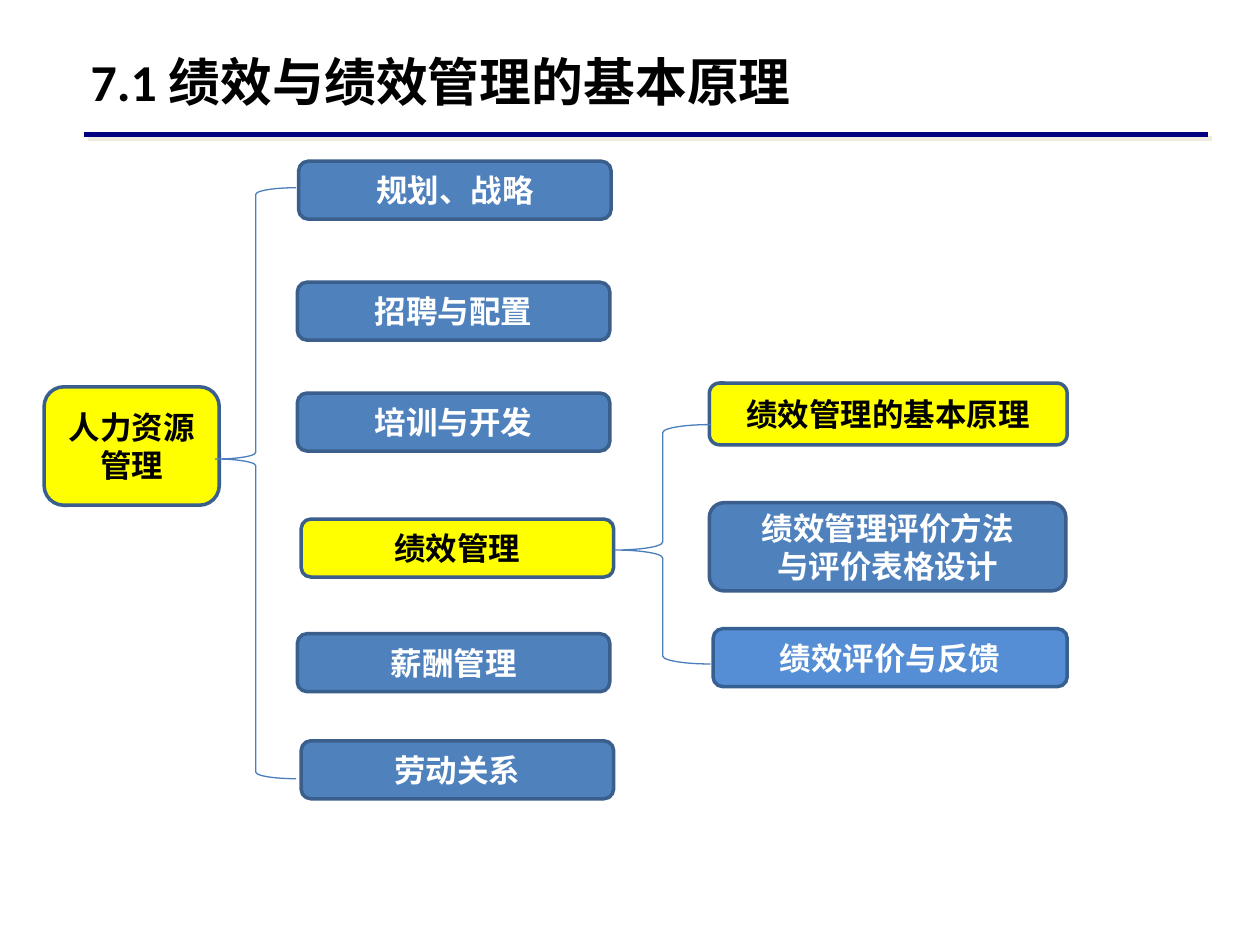
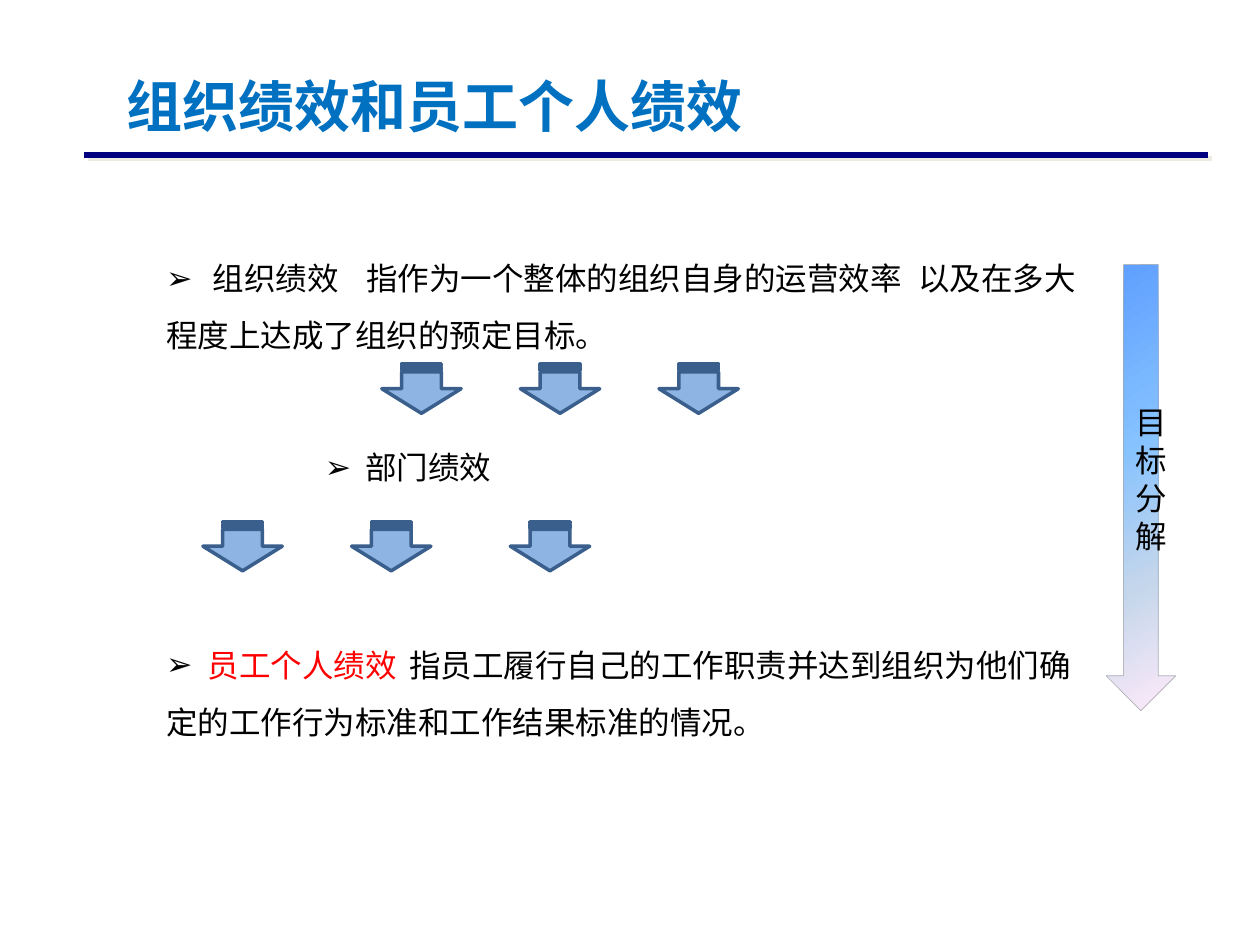
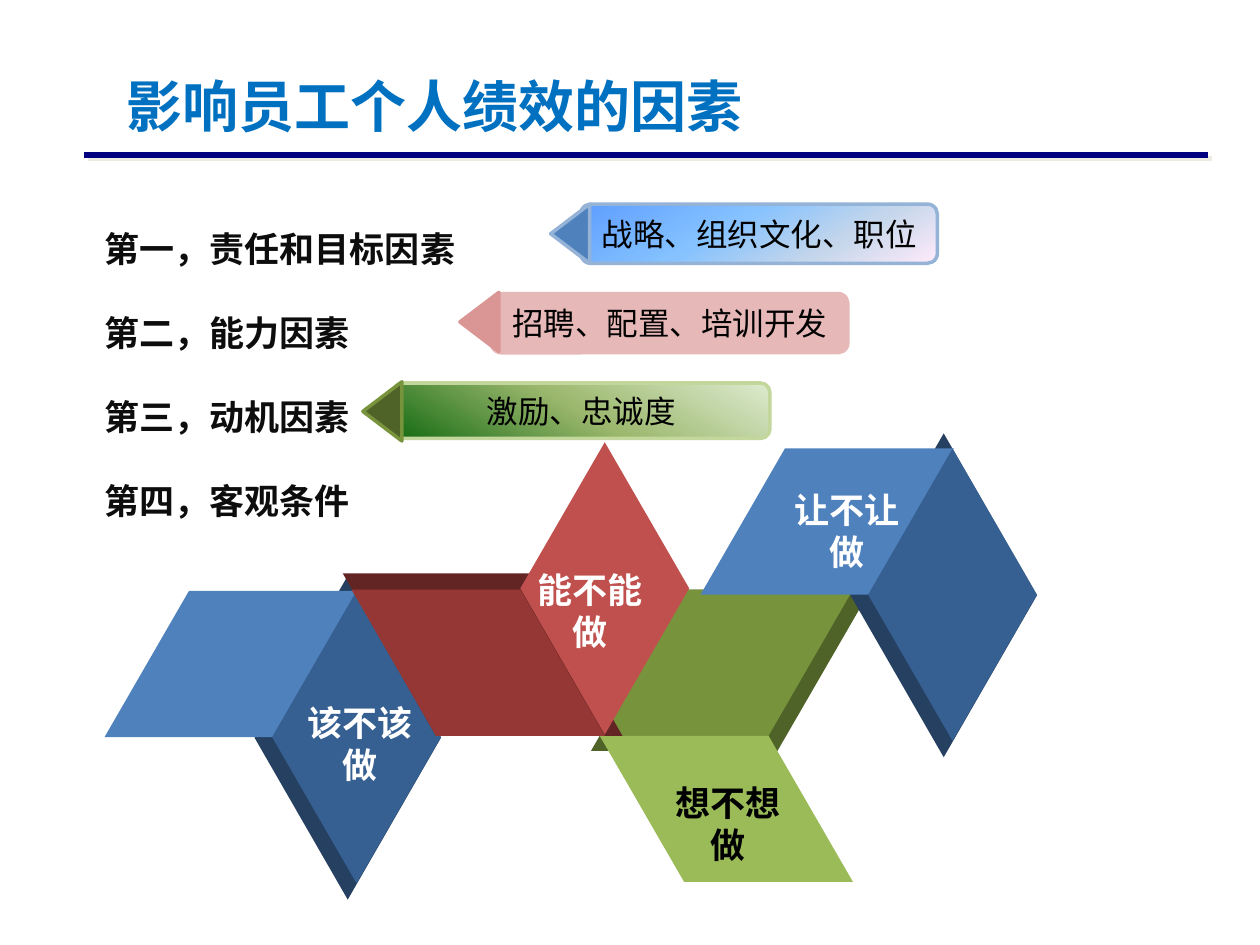
from dataclasses import dataclass

from lxml import etree
from pptx import Presentation
from pptx import util as u
from pptx.dml.color import RGBColor
from pptx.enum import shapes as kinds, text as txt
from pptx.oxml import ns

# Shared look
FONT = "Calibri"
BLACK, WHITE, RED, YELLOW = "000000", "FFFFFF", "FF0000", "FFFF00"
BLUE, EDGE, NAVY, SKY = "4F81BD", "3A5F8C", "000080", "0070C0"
DEEP, DARK = "376092", "254061"
SHAPE = kinds.MSO_SHAPE
CENTER, LEFT = txt.PP_ALIGN.CENTER, txt.PP_ALIGN.LEFT
MIDDLE, TOP = txt.MSO_ANCHOR.MIDDLE, txt.MSO_ANCHOR.TOP


@dataclass
class Blend:
    """A linear gradient: (percent, colour) stops and a clockwise angle."""
    stops: tuple
    angle: int


DAWN = Blend(((0, "5E9EFF"), (40, "85C2FF"), (70, "C4D6EB"), (100, "FFEBFA")), 60)
MOSS = Blend(((0, "DDEBCF"), (50, "9CB86E"), (100, "156B13")), 120)


@dataclass
class Box:
    text: str
    left: float
    top: float
    width: float = 2.48
    height: float = 0.46
    fill: str = BLUE
    edge: str = EDGE


@dataclass
class Tag:
    text: str
    left: float
    top: float
    width: float
    height: float
    fill: str | Blend
    edge: str
    tip: tuple
    tip_fill: str
    tip_edge: str


@dataclass
class Face:
    """One side of a folded ribbon: '/' and '\\' lean, 'v' is a diamond."""
    kind: str
    left: float
    top: float
    width: float
    height: float
    fill: str


# Helpers
def color(code: str) -> RGBColor:
    return RGBColor.from_string(code)


def place(*lengths: float) -> list:
    return [u.Inches(n) for n in lengths]


def node(parent, tag: str, **attrs):
    return etree.SubElement(parent, ns.qn(tag), {k: str(v) for k, v in attrs.items()})


def paint(shape, fill=None, edge=None, weight: float = 2) -> None:
    shape.shadow.inherit = False
    if isinstance(fill, Blend):
        shape.fill.gradient()
        grad = shape.fill._xPr.find(ns.qn("a:gradFill"))
        for child in list(grad):
            grad.remove(child)
        stops = node(grad, "a:gsLst")
        for at, code in fill.stops:
            node(node(stops, "a:gs", pos=at * 1000), "a:srgbClr", val=code)
        node(grad, "a:lin", ang=fill.angle * 60000, scaled=0)
    elif fill:
        shape.fill.solid()
        shape.fill.fore_color.rgb = color(fill)
    else:
        shape.fill.background()
    if edge:
        shape.line.color.rgb = color(edge)
        shape.line.width = u.Pt(weight)
    else:
        shape.line.fill.background()


def write(shape, words: str, size: float, tint: str, bold=False,
          align=CENTER, anchor=MIDDLE, space: float = 1) -> None:
    frame = shape.text_frame
    frame.text = words
    frame.word_wrap = True
    frame.auto_size = txt.MSO_AUTO_SIZE.NONE
    frame.vertical_anchor = anchor
    for para in frame.paragraphs:
        para.alignment = align
        para.line_spacing = space
        para.space_before = u.Pt(0)
        font = para.font
        font.name, font.size, font.bold = FONT, u.Pt(size), bold
        font.color.rgb = color(tint)


def shape_at(slide, kind, spot: tuple, fill=None, edge=None,
             weight: float = 2, turn: float = 0):
    shape = slide.shapes.add_shape(kind, *place(*spot))
    paint(shape, fill, edge, weight)
    shape.rotation = turn
    return shape


def start(deck, layout: int, words: str, spot: tuple, rule: float,
          size: float = 32, tint: str = SKY, align=LEFT):
    """Add a slide with its title and the shadowed rule below it."""
    slide = deck.slides.add_slide(deck.slide_layouts[layout])
    title = slide.shapes.title
    title.left, title.top, title.width, title.height = place(*spot)
    write(title, words, size, tint, True, align)
    line = slide.shapes.add_connector(
        kinds.MSO_CONNECTOR.STRAIGHT, *place(0.67, rule, 9.59, rule))
    line.line.color.rgb = color(NAVY)
    line.line.width = u.Pt(3)
    effect = node(line._element.spPr, "a:effectLst")
    shade = node(effect, "a:outerShdw", dist=u.Pt(2.8), dir=45 * 60000,
                 algn="ctr", rotWithShape=0)
    node(shade, "a:srgbClr", val="EEECE1")
    return slide


def bullet(slide, words: str, spot: tuple, tabs: tuple, space: float = 1):
    """Text with an arrow bullet, spaced out by tab stops."""
    note = slide.shapes.add_textbox(*place(*spot))
    write(note, words, 18, BLACK, align=LEFT, anchor=TOP, space=space)
    para = note.text_frame.paragraphs[0]
    props = para._p.get_or_add_pPr()
    props.set("marL", "0")
    props.set("indent", "0")
    face = etree.Element(ns.qn("a:buFont"), {"typeface": FONT})
    mark = etree.Element(ns.qn("a:buChar"), {"char": "➢"})
    stops = etree.Element(ns.qn("a:tabLst"))
    for stop in tabs:
        node(stops, "a:tab", pos=u.Inches(stop), algn="l")
    last = props.find(ns.qn("a:defRPr"))
    for part in (face, mark, stops):
        last.addprevious(part)
    return para


def fold(slide, faces: list, right: float = 0, down: float = 0) -> None:
    """Draw a ribbon as one group, moved by the given offset."""
    group = slide.shapes.add_group_shape()
    for face in faces:
        x, y, w, h = place(face.left + right, face.top + down, face.width, face.height)
        lean = w // 3
        points = {
            "/": [(x + lean, y), (x, y + h), (x + w - lean, y + h), (x + w, y)],
            "\\": [(x, y), (x + lean, y + h), (x + w, y + h), (x + w - lean, y)],
            "v": [(x + w // 2, y), (x, y + h // 2), (x + w // 2, y + h), (x + w, y + h // 2)],
        }[face.kind]
        build = group.shapes.build_freeform(*points[0])
        build.add_line_segments(points[1:], close=True)
        paint(build.convert_to_shape(), face.fill)


deck = Presentation()
deck.slide_width, deck.slide_height = u.Inches(10), u.Inches(7.5)

# Slide 1: tree of topics
slide = start(deck, 5, "7.1 绩效与绩效管理的基本原理", (0.51, 0.21, 5.98, 0.87),
              1.07, 29.6, BLACK, CENTER)
boxes = (
    Box("人力资源管理", 0.35, 3.07, 1.39, 0.94, YELLOW),
    Box("规划、战略", 2.37, 1.28),
    Box("招聘与配置", 2.36, 2.24),
    Box("培训与开发", 2.36, 3.12),
    Box("绩效管理", 2.39, 4.12, fill=YELLOW),
    Box("薪酬管理", 2.36, 5.03),
    Box("劳动关系", 2.39, 5.88),
    Box("绩效管理的基本原理", 5.63, 3.04, 2.84, 0.49, YELLOW),
    Box("绩效管理评价方法\n与评价表格设计", 5.63, 3.99, 2.83, 0.7),
    Box("绩效评价与反馈", 5.66, 4.99, 2.81, fill="558ED5", edge=DEEP),
)
for box in boxes:
    shape = shape_at(slide, SHAPE.ROUNDED_RECTANGLE,
                     (box.left, box.top, box.width, box.height), box.fill, box.edge)
    write(shape, box.text, 18, BLACK if box.fill == YELLOW else WHITE, True)

for spot, point in (((1.71, 1.49, 0.64, 4.69), 0.459),
                    ((4.88, 3.37, 0.76, 1.9), 0.524)):
    brace = shape_at(slide, SHAPE.LEFT_BRACE, spot, edge="4B7EBC", weight=0.75)
    brace.adjustments[0], brace.adjustments[1] = 0.083, point

# Slide 2: from the whole to the single worker
HEAD = (0.9, 0.4, 7.01, 0.87)
slide = start(deck, 5, "组织绩效和员工个人绩效", HEAD, 1.23)
bullet(slide, "\t组织绩效\t指作为一个整体的组织自身的运营效率\t以及在多大程度上达成了组织的预定目标。",
       (1.22, 1.86, 7.49, 1.01), (0.37, 1.59, 5.97), 1.5)
bullet(slide, "\t部门绩效", (2.48, 3.51, 1.64, 0.4), (0.32,))
para = bullet(slide, "\t", (1.22, 4.93, 7.4, 1.01), (0.33, 1.93), 1.5)
for words, tint in (
    ("员工个人绩效", RED),
    ("\t指员工履行自己的工作职责并达到组织为他们确定的工作行为标准和工作结果标准的情况。", BLACK),
):
    run = para.add_run()
    run.text = words
    run.font.color.rgb = color(tint)

for top, lefts in ((2.77, (3.15, 4.25, 5.35)), (4.02, (1.73, 2.91, 4.17))):
    for left in lefts:
        shape_at(slide, SHAPE.STRIPED_RIGHT_ARROW, (left, top, 0.39, 0.63),
                 "8EB4E3", EDGE, turn=90)

arrow = shape_at(slide, SHAPE.DOWN_ARROW, (8.78, 2.1, 0.55, 3.54), DAWN, "A6A6A6", 0.25)
write(arrow, "目标分解", 18, BLACK)

# Slide 3: factors, tags and folded ribbons
slide = start(deck, 1, "影响员工个人绩效的因素", HEAD, 1.23)
body = slide.placeholders[1]
body.left, body.top, body.width, body.height = place(0.83, 1.47, 3.54, 2.57)
write(body, "第一，责任和目标因素\n第二，能力因素\n第三，动机因素\n第四，客观条件",
      20, "0D0D0D", True, LEFT, TOP, 2)
frame = body.text_frame
frame.margin_left = frame.margin_top = frame.margin_right = frame.margin_bottom = 0
for para in frame.paragraphs:
    props = para._p.get_or_add_pPr()
    props.set("marL", "0")
    props.set("indent", "0")
    props.find(ns.qn("a:defRPr")).addprevious(etree.Element(ns.qn("a:buNone")))

green = [
    Face("/", 4.69, 4.68, 2.22, 1.28, "4F6228"),
    Face("/", 4.76, 4.68, 2.01, 1.16, "77933C"),
    Face("\\", 4.76, 5.84, 2.01, 1.16, "9BBB59"),
]
blue = [
    Face("v", 2.02, 4.57, 1.48, 2.57, DARK),
    Face("/", 0.83, 4.69, 2.01, 1.16, BLUE),
    Face("v", 2.16, 4.69, 1.34, 2.32, DEEP),
]
red = [
    Face("\\", 2.72, 4.55, 2.22, 1.29, "632523"),
    Face("\\", 2.79, 4.68, 2.01, 1.16, "953735"),
    Face("v", 4.13, 3.51, 1.34, 2.32, "C0504D"),
]
for faces in (green, blue, red):
    fold(slide, faces)
fold(slide, blue, 4.73, -1.13)

for words, left, top, tint in (
    ("该不该做", 2.24, 5.52, WHITE),
    ("能不能做", 4.06, 4.46, WHITE),
    ("想不想做", 5.16, 6.15, BLACK),
    ("让不让做", 6.1, 3.83, WHITE),
):
    label = slide.shapes.add_textbox(*place(left, top, 1.24, 0.77))
    write(label, words, 20, tint, True, anchor=TOP)

ROSE, PINK = "D99694", "E6B9B8"
for tag in (
    Tag("战略、组织文化、职位", 4.61, 1.62, 2.83, 0.47, DAWN, "95B3D7",
        (4.29, 1.7), BLUE, "95B3D7"),
    Tag("招聘、配置、培训开发", 3.9, 2.33, 2.83, 0.47, PINK, PINK,
        (3.57, 2.4), ROSE, ROSE),
    Tag("激励、忠诚度", 3.12, 3.04, 2.99, 0.44, MOSS, "C3D69B",
        (2.8, 3.11), "4F6228", "77933C"),
):
    shape = shape_at(slide, SHAPE.ROUNDED_RECTANGLE,
                     (tag.left, tag.top, tag.width, tag.height), tag.fill, tag.edge)
    write(shape, tag.text, 18, BLACK)
    shape_at(slide, SHAPE.ISOSCELES_TRIANGLE, (*tag.tip, 0.47, 0.31),
             tag.tip_fill, tag.tip_edge, turn=270)

deck.save("out.pptx")
